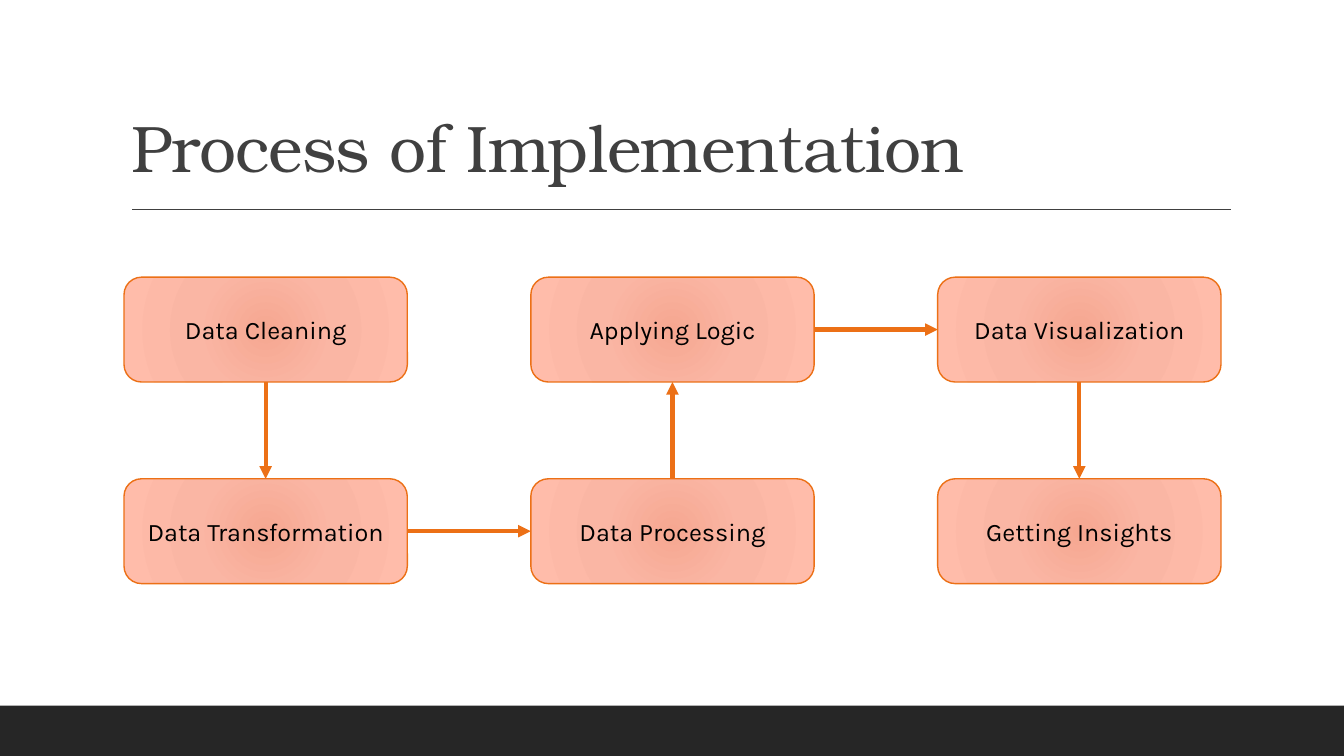
import pptx
import pptx.util
import pptx.dml.color
import pptx.enum.shapes
import pptx.enum.text
import pptx.oxml
import pptx.oxml.ns
import lxml.etree

Inches = pptx.util.Inches
ALIGN = pptx.enum.text.PP_ALIGN
ANCHOR = pptx.enum.text.MSO_ANCHOR
SHAPE = pptx.enum.shapes.MSO_SHAPE
STRAIGHT = pptx.enum.shapes.MSO_CONNECTOR.STRAIGHT
TOP, LEFT, BOTTOM, RIGHT = range(4)

ORANGE = "EC7016"
DARK_GRAY = "404040"
STEP_GRADIENT = [(0, "F6A791"), (45, "FAB6A4"), (100, "FFBCAA")]
STEP_ROWS = [
    ["Data Cleaning", "Applying Logic", "Data Visualization"],
    ["Data Transformation", "Data Processing", "Getting Insights"],
]
FLOW = [
    ("Data Cleaning", BOTTOM, "Data Transformation", TOP),
    ("Data Transformation", RIGHT, "Data Processing", LEFT),
    ("Data Processing", TOP, "Applying Logic", BOTTOM),
    ("Applying Logic", RIGHT, "Data Visualization", LEFT),
    ("Data Visualization", BOTTOM, "Getting Insights", TOP),
]


def color(hex_string):
    return pptx.dml.color.RGBColor.from_string(hex_string)


def add_xml(parent, tag, **attributes):
    child = lxml.etree.SubElement(parent, pptx.oxml.ns.qn(tag))
    for name, value in attributes.items():
        child.set(name, str(value))
    return child


def write_text(shape, text, *, font, size, fill, align, anchor,
               line_spacing=None, tracking=None):
    """Tracking is the letter spacing in hundredths of a point."""
    frame = shape.text_frame
    frame.word_wrap = True
    frame.vertical_anchor = anchor
    para = frame.paragraphs[0]
    para.alignment = align
    para.line_spacing = line_spacing
    span = para.add_run()
    span.text = text
    span.font.name = font
    span.font.size = pptx.util.Pt(size)
    span.font.color.rgb = color(fill)
    if tracking is not None:
        span.font._element.set("spc", str(tracking))


def fill_radial(shape, stops):
    gradient = pptx.oxml.parse_xml(
        f'<a:gradFill {pptx.oxml.ns.nsdecls("a")} rotWithShape="1"/>')
    stop_list = add_xml(gradient, "a:gsLst")
    for percent, hex_string in stops:
        stop = add_xml(stop_list, "a:gs", pos=percent * 1000)
        add_xml(stop, "a:srgbClr", val=hex_string)
    circle = add_xml(gradient, "a:path", path="circle")
    add_xml(circle, "a:fillToRect", l=100000, t=100000, r=100000, b=100000)
    shape._element.spPr.find(pptx.oxml.ns.qn("a:prstGeom")).addnext(gradient)


def add_line(page, start, end, hex_string, width):
    line = page.shapes.add_connector(STRAIGHT, *start, *end)
    line.line.color.rgb = color(hex_string)
    line.line.width = pptx.util.Pt(width)
    add_xml(line._element.spPr, "a:effectLst")
    return line


def add_footer_bar(page, left, top, width, height):
    bar = page.shapes.add_shape(SHAPE.RECTANGLE, left, top, width, height)
    bar.shadow.inherit = False
    bar.fill.solid()
    bar.fill.fore_color.rgb = color("262626")
    bar.line.fill.background()


def add_heading(page, text, left, top, width, height):
    """Fill the title placeholder and rule a line below it."""
    title = page.shapes.title
    title.left, title.top, title.width, title.height = left, top, width, height
    write_text(title, text, font="TeX Gyre Bonum", size=47, fill=DARK_GRAY,
               align=ALIGN.LEFT, anchor=ANCHOR.BOTTOM, line_spacing=0.9,
               tracking=-50)
    rule_left, rule_top = left + Inches(0.11), top + height + Inches(0.18)
    add_line(page, (rule_left, rule_top),
             (rule_left + Inches(10.9), rule_top), DARK_GRAY, 1)


def add_step(page, text, left, top, width, height):
    step = page.shapes.add_shape(SHAPE.ROUNDED_RECTANGLE,
                                 left, top, width, height)
    step.shadow.inherit = False
    fill_radial(step, STEP_GRADIENT)
    step.line.color.rgb = color(ORANGE)
    step.line.width = pptx.util.Pt(1)
    write_text(step, text, font="Karla", size=18, fill="000000",
               align=ALIGN.CENTER, anchor=ANCHOR.MIDDLE)
    return step


def add_arrow(page, source, source_side, target, target_side):
    arrow = add_line(page, (0, 0), (0, 0), ORANGE, 3)
    arrow.begin_connect(source, source_side)
    arrow.end_connect(target, target_side)
    add_xml(arrow.line._get_or_add_ln(), "a:tailEnd", type="triangle")


def add_flowchart(page, left, top, width, height):
    """Spread the steps over the box and join them with arrows."""
    step_width, step_height = Inches(2.81), Inches(1.04)
    column_pitch = (width - step_width) // (len(STEP_ROWS[0]) - 1)
    row_pitch = (height - step_height) // (len(STEP_ROWS) - 1)
    steps = {}
    for row, names in enumerate(STEP_ROWS):
        for column, name in enumerate(names):
            steps[name] = add_step(page, name, left + column * column_pitch,
                                   top + row * row_pitch,
                                   step_width, step_height)
    for source, source_side, target, target_side in FLOW:
        add_arrow(page, steps[source], source_side,
                  steps[target], target_side)


def main():
    deck = pptx.Presentation()
    deck.slide_width, deck.slide_height = Inches(13.33), Inches(7.5)
    page = deck.slides.add_slide(deck.slide_layouts.get_by_name("Title Only"))
    add_footer_bar(page, 0, Inches(7), deck.slide_width, Inches(0.5))
    add_heading(page, "Process of Implementation",
                Inches(1.2), Inches(0.31), Inches(11), Inches(1.59))
    add_flowchart(page, Inches(1.23), Inches(2.75), Inches(10.88), Inches(3.04))
    deck.save("out.pptx")


if __name__ == "__main__":
    main()
